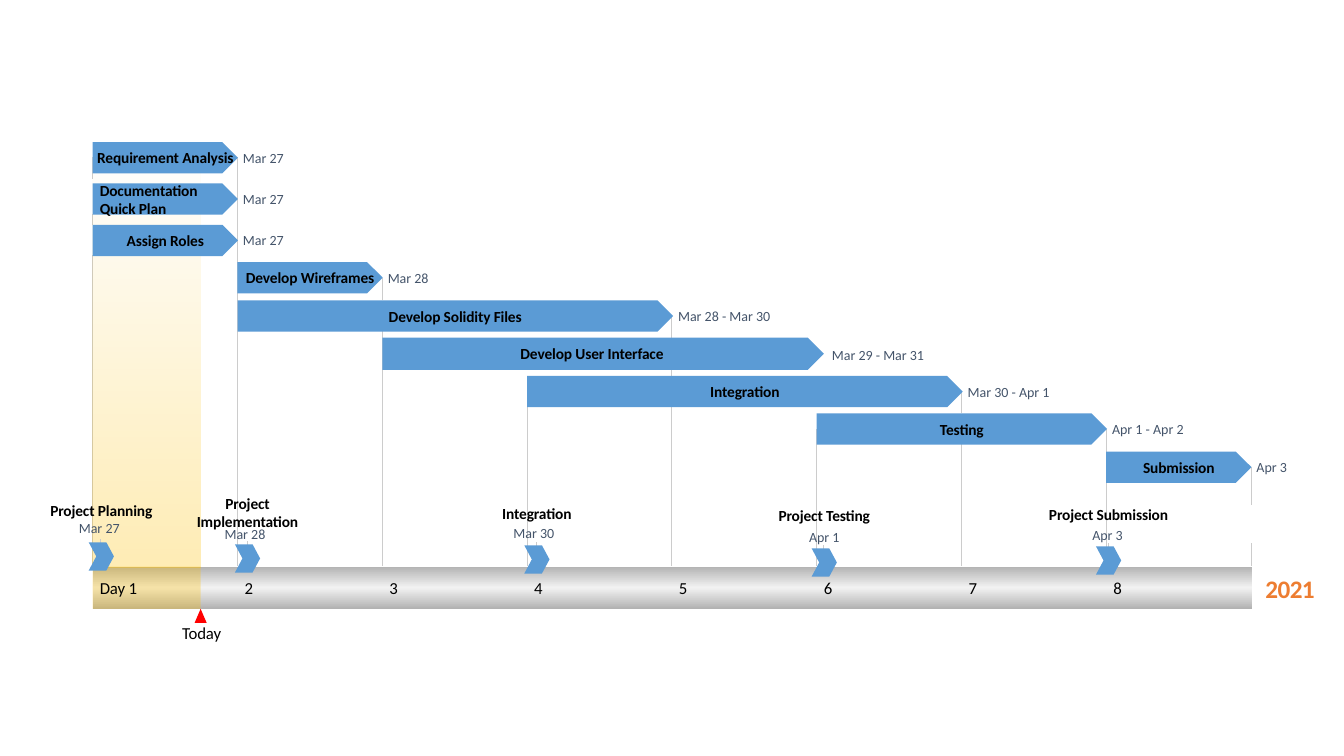
from dataclasses import dataclass, field

from lxml.etree import SubElement
from pptx import Presentation
from pptx.dml.color import RGBColor
from pptx.enum.shapes import MSO_CONNECTOR, MSO_SHAPE
from pptx.enum.text import MSO_ANCHOR, MSO_AUTO_SIZE, PP_ALIGN
from pptx.oxml.ns import qn
from pptx.util import Cm, Pt

RECT, ARROW = MSO_SHAPE.RECTANGLE, MSO_SHAPE.PENTAGON
CHEVRON, WEDGE = MSO_SHAPE.CHEVRON, MSO_SHAPE.ISOSCELES_TRIANGLE
STRAIGHT, MIDDLE = MSO_CONNECTOR.STRAIGHT, MSO_ANCHOR.MIDDLE
GROW, FIXED = MSO_AUTO_SIZE.SHAPE_TO_FIT_TEXT, MSO_AUTO_SIZE.NONE
LEFT, CENTER = PP_ALIGN.LEFT, PP_ALIGN.CENTER

BLUE, AMBER, GREY = "5B9BD5", "FFC000", "CCCCCC"
START, DAY = 0.92, 1.436
AXIS, TALL, END = 5.62, 0.42, 8.01


def size(inches):
    """Turn inches into a length."""
    return Cm(inches * 2.54)


def tint(code):
    """Turn a hex string into a colour."""
    return RGBColor.from_string(code)


def day_x(day):
    """Left edge of a day on the axis."""
    return START + DAY * (day - 1)


def styles():
    """Font values for each kind of text."""
    base = {"name": "Calibri", "bold": False}
    return {
        "task": base | {"size": Pt(11), "bold": True, "color": "000000", "spc": -10},
        "date": base | {"size": Pt(10), "color": "44546A", "spc": 0},
        "tick": base | {"size": Pt(12), "color": "000000", "spc": -10},
        "year": base | {"size": Pt(18), "bold": True, "color": "ED7D31", "spc": -40},
    }


@dataclass
class Chart:
    """Style and current slide of the timeline."""

    slide: object
    fonts: dict = field(default_factory=styles)

    def shape(self, kind, x, y, wide, tall, color, alpha=None):
        """Add a plain shape with no outline."""
        form = self.slide.shapes.add_shape(kind, *map(size, (x, y, wide, tall)))
        form.shadow.inherit = False
        form.line.fill.background()
        form.fill.solid()
        form.fill.fore_color.rgb = tint(color)
        if alpha is not None:
            node = form._element.spPr.find(".//" + qn("a:srgbClr"))
            SubElement(node, qn("a:alpha"), val=str(alpha * 1000))
        return form

    def fade(self, x, y, wide, tall, stops):
        """Add a box with a gradient from top to bottom."""
        form = self.shape(RECT, x, y, wide, tall, stops[0][1])
        form.fill.gradient()
        form.fill.gradient_angle = 270
        group = form._element.spPr.find(".//" + qn("a:gsLst"))
        for stop in list(group):
            group.remove(stop)
        for spot, color, alpha in stops:
            stop = SubElement(group, qn("a:gs"), pos=str(spot * 1000))
            node = SubElement(stop, qn("a:srgbClr"), val=color)
            SubElement(node, qn("a:alpha"), val=str(alpha * 1000))

    def line(self, x, top, end):
        """Add a thin upright line."""
        rule = self.slide.shapes.add_connector(
            STRAIGHT, *map(size, (x, top, x, end)))
        rule.line.color.rgb = tint(GREY)
        rule.line.width = Pt(0.6)
        SubElement(rule._element.spPr, qn("a:effectLst"))

    def text(self, words, style, x, y, wide, tall, align=LEFT, wrap=True, fit=GROW):
        """Add a text box without margins."""
        box = self.slide.shapes.add_textbox(*map(size, (x, y, wide, tall)))
        frame = box.text_frame
        values = {"word_wrap": wrap, "auto_size": fit, "vertical_anchor": MIDDLE,
                  "margin_left": 0, "margin_right": 0,
                  "margin_top": 0, "margin_bottom": 0}
        for key, value in values.items():
            setattr(frame, key, value)
        para = frame.paragraphs[0]
        para.alignment = align
        run = para.add_run()
        run.text = words
        form = self.fonts[style]
        for key in ("name", "size", "bold"):
            setattr(run.font, key, form[key])
        run.font.color.rgb = tint(form["color"])
        run._r.get_or_add_rPr().set("spc", str(form["spc"]))

    def bar(self, day, top, days, tall=0.31, extra=0):
        """Add the arrow of a task."""
        self.shape(ARROW, day_x(day), top, days * 1.44 + extra, tall, BLUE)

    def label(self, task, wide, date, span, day, top, days,
              shift=0, gap=0.05, drop=0.07, align=CENTER, fit=GROW):
        """Add the name of a task and its date."""
        x = day_x(day)
        end = x + days * 1.44
        self.text(date, "date", end + gap, top + drop, span, 0.17)
        self.text(task, "task", (x + end - wide) / 2 + shift, top + 0.06,
                  wide, 0.19, align, fit=fit)

    def goal(self, name, x, top, date, left, span, y, under, tall=0.19):
        """Add a milestone: tick, chevron, name and date."""
        self.line(x + 0.12, top - 0.03, top + 0.2)
        mark = self.shape(CHEVRON, x, top, 0.25, 0.28, BLUE)
        mark.adjustments[0] = 0.3
        self.text(name, "task", x - 0.47, y, 1.19, tall, CENTER)
        self.text(date, "date", left, under, span, 0.17, CENTER)


# day: spans of its grid line
GRID = {
    1: [(1.56, 1.78), (2.12, 2.23), (2.53, AXIS)],
    2: [(1.56, AXIS)],
    3: [(2.76, 2.98), (3.28, AXIS)],
    4: [(3.88, AXIS)],
    5: [(3.13, 3.35), (3.66, 3.73), (4.03, AXIS)],
    6: [(4.26, AXIS)],
    7: [(3.88, 4.1), (4.35, AXIS)],
    8: [(4.26, AXIS)],
    9: [(4.63, 5.01), (5.39, AXIS)],
}
# name, width, date, width, first day, top, days, tweaks of bar and label
TASKS = [
    ("Requirement Analysis", 1.39, "Mar 27", 0.42, 1, 1.41, 1, {}, {}),
    ("Documentation Quick Plan", 1.14, "Mar 27", 0.42, 1, 1.82, 1, {},
     {"shift": -0.08, "align": LEFT, "fit": FIXED}),
    ("Assign Roles", 0.79, "Mar 27", 0.42, 1, 2.23, 1, {}, {}),
    ("Develop Wireframes", 1.31, "Mar 28", 0.42, 2, 2.6, 1, {}, {}),
    ("Develop Solidity Files", 1.36, "Mar 28 - Mar 30", 0.93, 2, 2.98, 3, {}, {}),
    ("Develop User Interface", 1.46, "Mar 29 - Mar 31", 0.93, 3, 3.35, 3,
     {"tall": 0.32, "extra": 0.06}, {"shift": -0.08, "gap": 0.14, "drop": 0.09}),
    ("Integration", 0.71, "Mar 30 - Apr 1", 0.82, 4, 3.73, 3, {}, {}),
    ("Testing", 0.44, "Apr 1 - Apr 2", 0.72, 6, 4.1, 2, {}, {}),
    ("Submission", 0.72, "Apr 3", 0.31, 8, 4.48, 1, {}, {}),
]
# name, left, top, date, date left, date width, name top, date top, height
GOALS = [
    ("Project Testing", 8.05, 5.44, "Apr 1", 8.02, 0.31, 5.02, 5.24),
    ("Integration", 5.2, 5.41, "Mar 30", 5.05, 0.49, 5, 5.2),
    ("Project Implementation", 2.33, 5.4, "Mar 28", 2.14, 0.58, 4.9, 5.21, 0.37),
    ("Project Planning", 0.88, 5.38, "Mar 27", 0.78, 0.41, 4.97, 5.15),
    ("Project Submission", 10.87, 5.42, "Apr 3", 10.83, 0.31, 5.01, 5.22),
]

deck = Presentation()
deck.slide_width, deck.slide_height = size(13.33), size(7.5)
chart = Chart(deck.slides.add_slide(deck.slide_layouts[6]))

chart.text("2021", "year", 12.55, 5.68, 0.49, 0.31, CENTER, wrap=False)
for day, spans in GRID.items():
    for top, end in spans:
        chart.line(day_x(day), top, end)

chart.fade(START, AXIS, 11.5, TALL,
           [(0, "B2B2B2", 100), (50, "F2F2F2", 100), (100, "B2B2B2", 100)])
chart.shape(RECT, START, AXIS, 1.07, TALL, AMBER, 30)
chart.fade(START, 1.41, 1.07, 4.22, [(0, AMBER, 0), (100, AMBER, 30)])
chart.shape(WEDGE, 1.93, 6.04, 0.12, 0.14, "FF0000")
chart.text("Today", "tick", 1.8, 6.18, 0.4, 0.2, CENTER, wrap=False)
for day in range(1, 9):
    name, wide = ("Day 1", 0.37) if day == 1 else (str(day), 0.08)
    chart.text(name, "tick", day_x(day) + 0.07, 5.73, wide, 0.2,
               wrap=False, fit=FIXED)

for *_, day, top, days, form, _ in TASKS:
    chart.bar(day, top, days, **form)
for *label, _, form in TASKS:
    chart.label(*label, **form)
for goal in GOALS:
    chart.goal(*goal)

deck.save("out.pptx")
